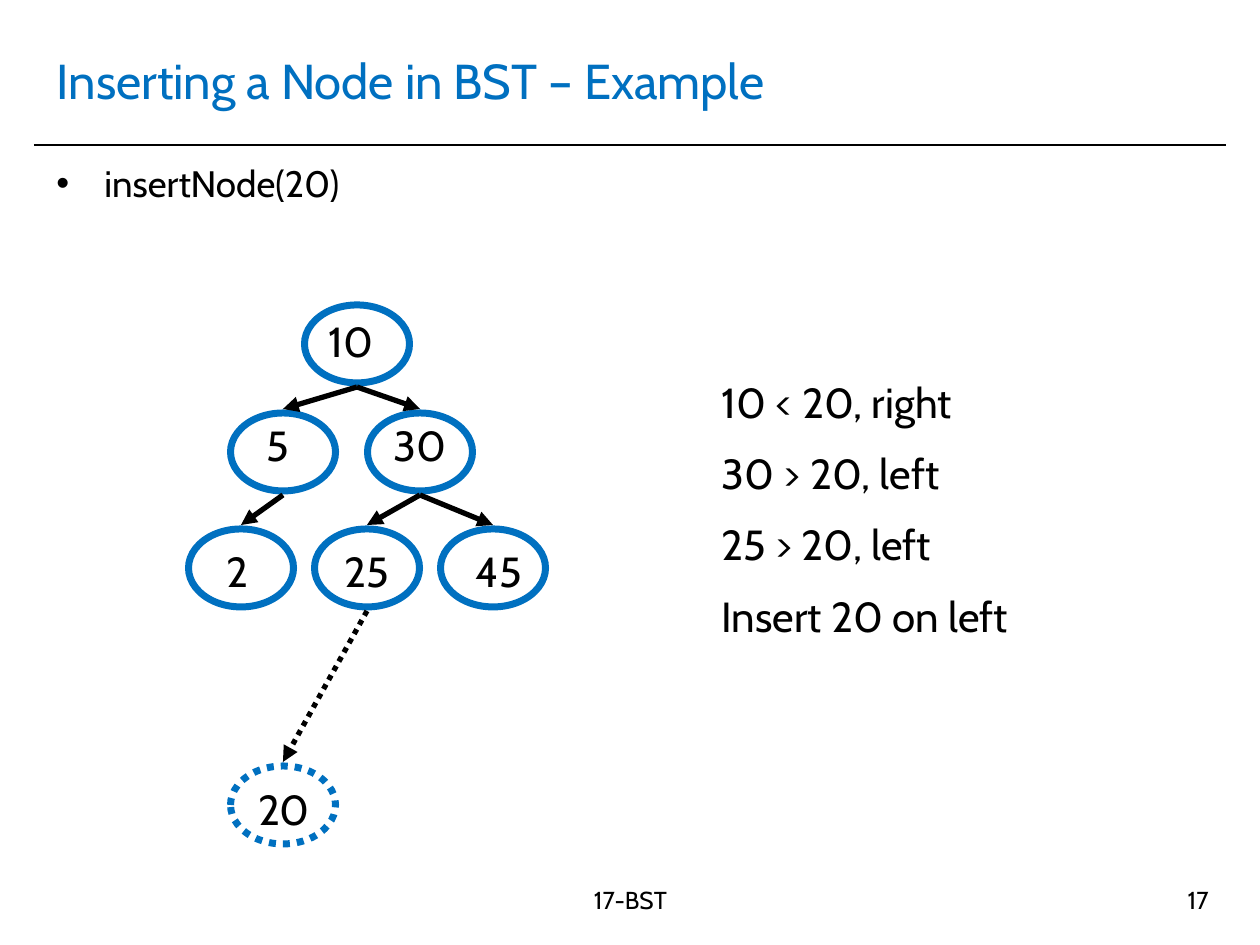
from dataclasses import dataclass

from lxml.etree import SubElement
from pptx import Presentation
from pptx.dml.color import RGBColor as RGB
from pptx.enum.dml import MSO_LINE_DASH_STYLE as DASH
from pptx.enum.shapes import MSO_CONNECTOR as CONN, MSO_SHAPE as SHAPE
from pptx.enum.text import MSO_ANCHOR as ANCHOR, PP_ALIGN as ALIGN
from pptx.oxml.ns import qn
from pptx.util import Emu, Pt


@dataclass(frozen=True)
class Theme:
    font: str = "Cabin"
    accent: RGB = RGB(0x00, 0x70, 0xC0)
    ink: RGB = RGB(0, 0, 0)
    title: int = 28
    body: int = 21
    label: int = 24
    footer: int = 14
    rule: int = 1
    edge: int = 3
    ring: int = 4


T = Theme()
TITLE = "Inserting a Node in BST – Example"
CALL = "insertNode(20)"
STEPS = ["10 < 20, right", "30 > 20, left", "25 > 20, left", "Insert 20 on left"]
FOOTER, PAGE = "17-BST", "17"

LEVELS = {0: (305, 4), 1: (413, 0), 2: (529, 10), 3: (766, 11)}
NODES = {
    "10": (357, 0, -6), "5": (283, 1, -5), "30": (420, 1, 0),
    "2": (241, 2, -4), "25": (367, 2, 0), "45": (493, 2, 6), "20": (283, 3, 1),
}
EDGES = [("10", "5"), ("10", "30"), ("5", "2"), ("30", "25"), ("30", "45"), ("25", "20")]
NEW = "20"
NODE_W, NODE_H, GAP = 105, 78, 4
LABEL_W, LABEL_H = 84, 63


def px(n):
    return Emu(round(n * 914400 / 126))


def write(tf, text, size=T.label, color=T.ink, align=ALIGN.LEFT, before=0,
          anchor=ANCHOR.TOP, wrap=True, bullet=0):
    tf.word_wrap = wrap
    tf.vertical_anchor = anchor
    for i, line in enumerate([text] if isinstance(text, str) else text):
        p = tf.add_paragraph() if i else tf.paragraphs[0]
        p.alignment = align
        p.space_before = Pt(before)
        r = p.add_run()
        r.text = line
        r.font.name, r.font.size, r.font.color.rgb = T.font, Pt(size), color
        if bullet:
            pPr = p._p.get_or_add_pPr()
            pPr.set("marL", str(px(bullet)))
            pPr.set("indent", str(-px(bullet)))
            SubElement(pPr, qn("a:buFont")).set("typeface", "Arial")
            SubElement(pPr, qn("a:buChar")).set("char", "•")


def text_box(s, x, y, w, h, text, **fmt):
    write(s.shapes.add_textbox(px(x), px(y), px(w), px(h)).text_frame, text, **fmt)


def line(s, x1, y1, x2, y2, width, arrow=False, dotted=False):
    c = s.shapes.add_connector(CONN.STRAIGHT, px(x1), px(y1), px(x2), px(y2))
    c.line.color.rgb, c.line.width = T.ink, Pt(width)
    if dotted:
        c.line.dash_style = DASH.ROUND_DOT
    if arrow:
        SubElement(c.line._get_or_add_ln(), qn("a:tailEnd")).set("type", "triangle")
    SubElement(c._element.spPr, qn("a:effectLst"))


def node(s, name):
    cx, level, shift = NODES[name]
    top, drop = LEVELS[level]
    sp = s.shapes.add_shape(SHAPE.OVAL, px(cx - NODE_W / 2), px(top), px(NODE_W), px(NODE_H))
    sp.shadow.inherit = False
    sp.fill.background()
    sp.line.color.rgb, sp.line.width = T.accent, Pt(T.ring)
    if name == NEW:
        sp.line.dash_style = DASH.ROUND_DOT
    text_box(s, cx + shift - LABEL_W / 2, top + drop, LABEL_W, LABEL_H, name,
             align=ALIGN.CENTER, wrap=False)


def edge(s, parent, child):
    x1, level1, _ = NODES[parent]
    x2, level2, _ = NODES[child]
    line(s, x1, LEVELS[level1][0] + NODE_H + GAP, x2, LEVELS[level2][0] - GAP,
         T.edge, arrow=True, dotted=child == NEW)


def main():
    prs = Presentation()
    prs.slide_width, prs.slide_height = px(1260), px(945)
    s = prs.slides.add_slide(prs.slide_layouts[5])
    title = s.shapes.title
    title.left, title.top, title.width, title.height = px(44), px(26), px(1171), px(107)
    write(title.text_frame, TITLE, size=T.title, color=T.accent, anchor=ANCHOR.MIDDLE)
    line(s, 34, 145, 1226, 145, T.rule)
    text_box(s, 44, 155, 1171, 73, CALL, size=T.body, before=4, bullet=48)
    for name in NODES:
        node(s, name)
    for parent, child in EDGES:
        edge(s, parent, child)
    text_box(s, 709, 370, 473, 292, STEPS, before=12)
    text_box(s, 422, 879, 417, 66, FOOTER, size=T.footer, align=ALIGN.CENTER)
    text_box(s, 927, 879, 294, 66, PAGE, size=T.footer, align=ALIGN.RIGHT)
    prs.save("out.pptx")


if __name__ == "__main__":
    main()
